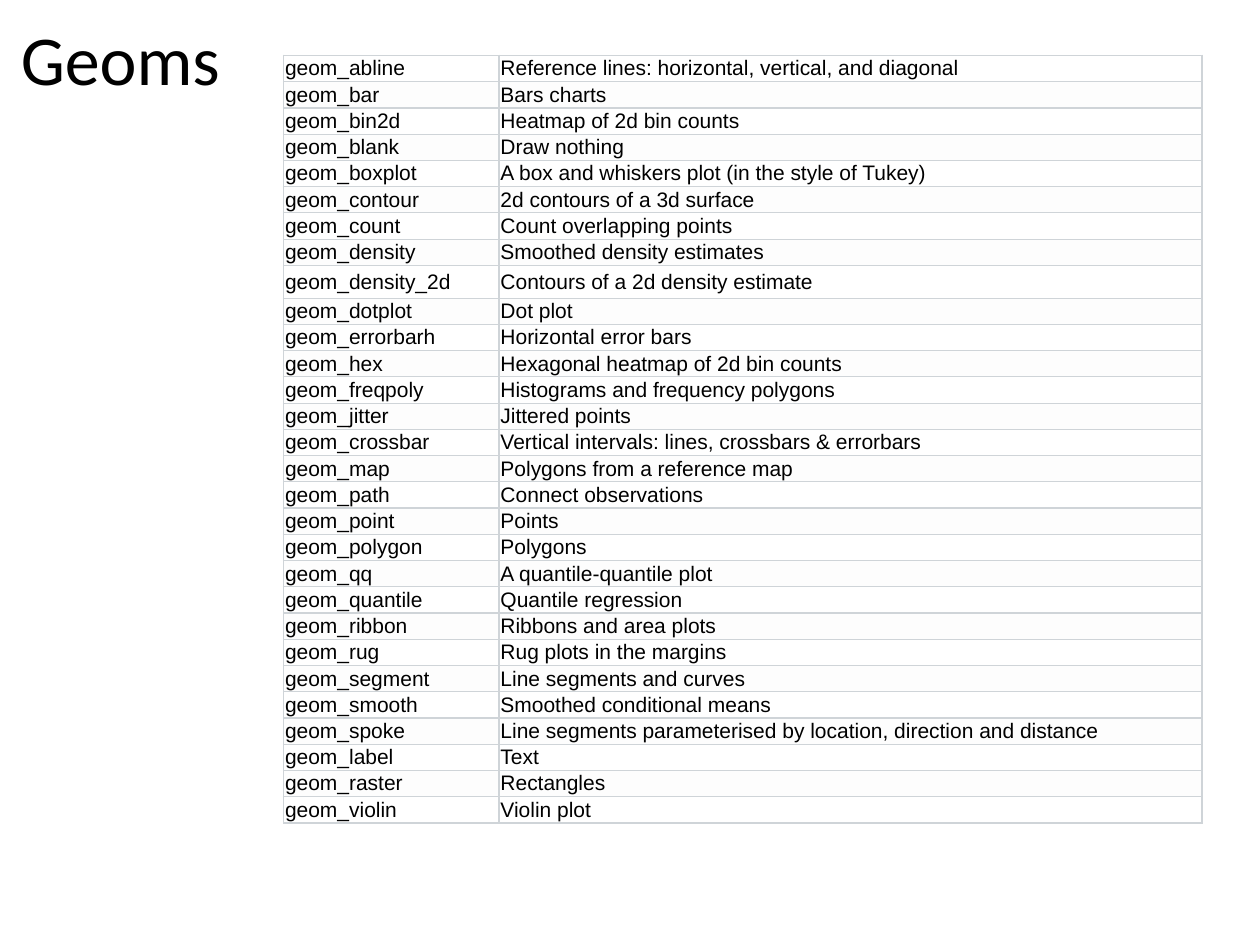
from dataclasses import dataclass

from lxml import etree
from pptx import Presentation
from pptx.dml.color import RGBColor
from pptx.enum.text import MSO_ANCHOR, PP_ALIGN
from pptx.oxml.ns import qn
from pptx.slide import Slide
from pptx.table import _Cell
from pptx.text.text import TextFrame
from pptx.util import Inches, Pt

MIDDLE = MSO_ANCHOR.MIDDLE
LEFT = PP_ALIGN.LEFT
CENTER = PP_ALIGN.CENTER

COLORS = {
    "text": "000000",
    "odd_row": "FFFFFF",
    "even_row": "FDFDFD",
    "border": "CFD4D8",
}
COLUMN_WIDTHS = (1.71, 5.58)
ROW_HEIGHT = 0.18
TALL_ROW_HEIGHT = 0.26
SIDE_MARGIN = Pt(0.9)
VERTICAL_MARGIN = Pt(0.3)
BORDER_WIDTH = 0.75
TOP_BORDER_WIDTH = 1


@dataclass(frozen=True)
class Geom:
    name: str
    description: str
    height: float = ROW_HEIGHT


GEOMS = (
    Geom("geom_abline", "Reference lines: horizontal, vertical, and diagonal"),
    Geom("geom_bar", "Bars charts"),
    Geom("geom_bin2d", "Heatmap of 2d bin counts"),
    Geom("geom_blank", "Draw nothing"),
    Geom("geom_boxplot", "A box and whiskers plot (in the style of Tukey)"),
    Geom("geom_contour", "2d contours of a 3d surface"),
    Geom("geom_count", "Count overlapping points"),
    Geom("geom_density", "Smoothed density estimates"),
    Geom("geom_density_2d", "Contours of a 2d density estimate", TALL_ROW_HEIGHT),
    Geom("geom_dotplot", "Dot plot"),
    Geom("geom_errorbarh", "Horizontal error bars"),
    Geom("geom_hex", "Hexagonal heatmap of 2d bin counts"),
    Geom("geom_freqpoly", "Histograms and frequency polygons"),
    Geom("geom_jitter", "Jittered points"),
    Geom("geom_crossbar", "Vertical intervals: lines, crossbars & errorbars"),
    Geom("geom_map", "Polygons from a reference map"),
    Geom("geom_path", "Connect observations"),
    Geom("geom_point", "Points"),
    Geom("geom_polygon", "Polygons"),
    Geom("geom_qq", "A quantile-quantile plot"),
    Geom("geom_quantile", "Quantile regression"),
    Geom("geom_ribbon", "Ribbons and area plots"),
    Geom("geom_rug", "Rug plots in the margins"),
    Geom("geom_segment", "Line segments and curves"),
    Geom("geom_smooth", "Smoothed conditional means"),
    Geom("geom_spoke", "Line segments parameterised by location, direction and distance"),
    Geom("geom_label", "Text"),
    Geom("geom_raster", "Rectangles"),
    Geom("geom_violin", "Violin plot"),
)


def write_text(frame: TextFrame, text: str, *, font: str, size: float,
               align: PP_ALIGN = LEFT, color: str = "text") -> None:
    para = frame.paragraphs[0]
    para.alignment = align
    span = para.add_run()
    span.text = text
    span.font.name = font
    span.font.size = Pt(size)
    span.font.color.rgb = RGBColor.from_string(COLORS[color])


def set_borders(cell: _Cell, top_width: float) -> None:
    properties = cell._tc.get_or_add_tcPr()
    widths = {"L": BORDER_WIDTH, "R": BORDER_WIDTH, "T": top_width, "B": BORDER_WIDTH}
    for position, (side, width) in enumerate(widths.items()):
        line = etree.Element(qn(f"a:ln{side}"), w=str(Pt(width)))
        fill = etree.SubElement(line, qn("a:solidFill"))
        etree.SubElement(fill, qn("a:srgbClr"), val=COLORS["border"])
        properties.insert(position, line)


def fill_cell(cell: _Cell, text: str, fill: str, top_width: float) -> None:
    cell.margin_left = cell.margin_right = SIDE_MARGIN
    cell.margin_top = cell.margin_bottom = VERTICAL_MARGIN
    cell.vertical_anchor = MIDDLE
    cell.fill.solid()
    cell.fill.fore_color.rgb = RGBColor.from_string(COLORS[fill])
    set_borders(cell, top_width)
    write_text(cell.text_frame, text, font="Arial", size=12)


def add_title(page: Slide) -> None:
    box = page.shapes.add_textbox(Inches(0), Inches(0.17), Inches(1.91), Inches(0.58))
    box.text_frame.word_wrap = True
    box.text_frame.vertical_anchor = MIDDLE
    write_text(box.text_frame, "Geoms", font="Calibri", size=40, align=CENTER)


def add_geom_table(page: Slide) -> None:
    height = sum(geom.height for geom in GEOMS)
    table = page.shapes.add_table(
        len(GEOMS), len(COLUMN_WIDTHS), Inches(2.25), Inches(0.44),
        Inches(sum(COLUMN_WIDTHS)), Inches(height),
    ).table
    table.first_row = False
    table.horz_banding = False
    for column, width in zip(table.columns, COLUMN_WIDTHS):
        column.width = Inches(width)
    for index, geom in enumerate(GEOMS):
        table.rows[index].height = Inches(geom.height)
        fill = "even_row" if index % 2 else "odd_row"
        top_width = BORDER_WIDTH if index else TOP_BORDER_WIDTH
        for column, text in enumerate((geom.name, geom.description)):
            fill_cell(table.cell(index, column), text, fill, top_width)


def main() -> None:
    deck = Presentation()
    deck.slide_width = Inches(10)
    deck.slide_height = Inches(7.5)
    page = deck.slides.add_slide(deck.slide_layouts[6])
    add_title(page)
    add_geom_table(page)
    deck.save("out.pptx")


if __name__ == "__main__":
    main()
